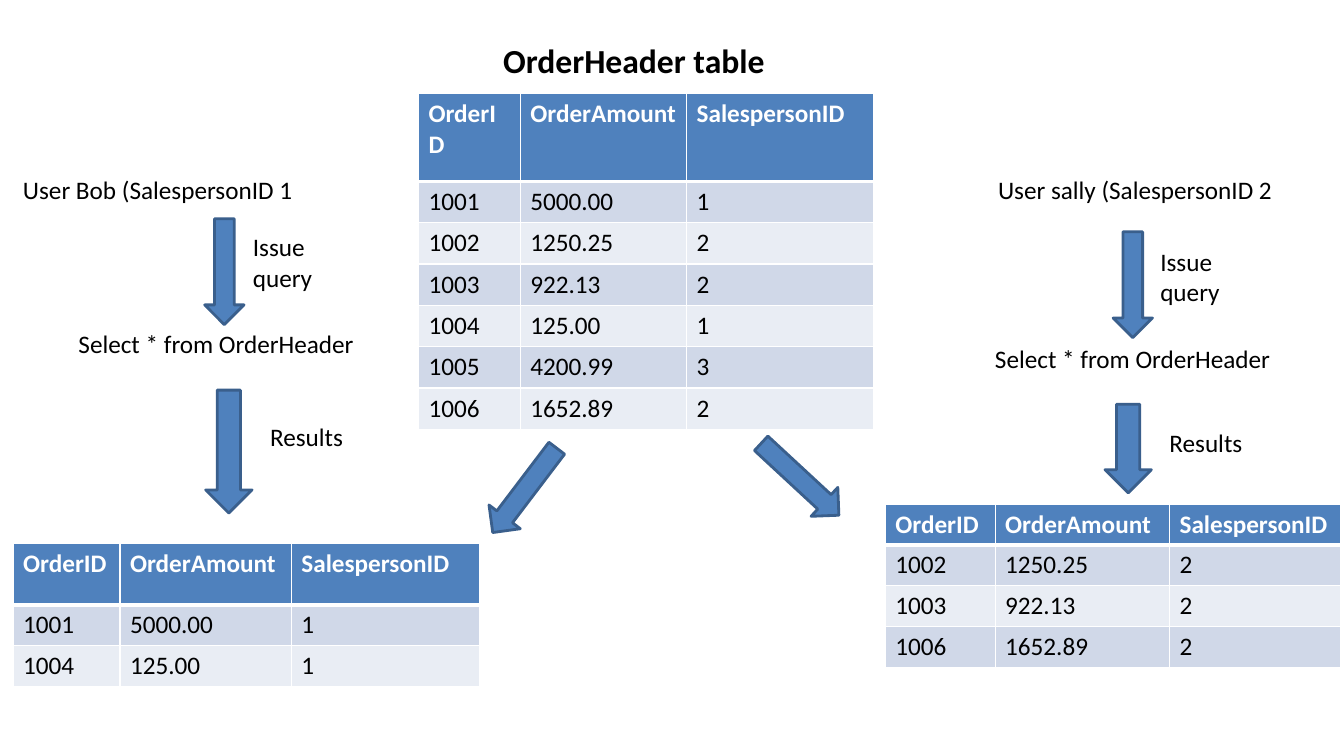
from dataclasses import dataclass

import pptx
import pptx.dml.color
import pptx.enum.shapes
import pptx.enum.text
import pptx.oxml
import pptx.oxml.ns
import pptx.shapes.autoshape
import pptx.shapes.shapetree
import pptx.slide
import pptx.table
import pptx.text.text
import pptx.util
from pptx.util import Inches

BLACK = pptx.dml.color.RGBColor(0x00, 0x00, 0x00)
WHITE = pptx.dml.color.RGBColor(0xFF, 0xFF, 0xFF)
BLUE = pptx.dml.color.RGBColor(0x4F, 0x81, 0xBD)
DARK_BLUE = pptx.dml.color.RGBColor(0x3A, 0x5F, 0x8C)
BANDS = (
    pptx.dml.color.RGBColor(0xD0, 0xD8, 0xE8),
    pptx.dml.color.RGBColor(0xE9, 0xED, 0xF4),
)
FONT_NAME = "Calibri"
BODY_SIZE = 18
HEADINGS = ("OrderID", "OrderAmount", "SalespersonID")


@dataclass(frozen=True)
class Order:
    order_id: str
    amount: str
    salesperson: str


@dataclass(frozen=True)
class OrderTable:
    left: float
    top: float
    column_widths: tuple[float, ...]
    header_height: float
    row_height: float
    orders: list[Order]


@dataclass(frozen=True)
class Label:
    text: str
    left: float
    top: float
    width: float
    height: float = 0.4


@dataclass(frozen=True)
class Arrow:
    left: float
    top: float
    width: float = 0.39
    height: float = 1.05
    rotation: float = 0


@dataclass(frozen=True)
class Step:
    arrow: Arrow
    label: Label


ORDERS = [
    Order("1001", "5000.00", "1"),
    Order("1002", "1250.25", "2"),
    Order("1003", "922.13", "2"),
    Order("1004", "125.00", "1"),
    Order("1005", "4200.99", "3"),
    Order("1006", "1652.89", "2"),
]


def orders_of(salesperson: str) -> list[Order]:
    return [order for order in ORDERS if order.salesperson == salesperson]


TABLES = [
    OrderTable(4.15, 0.93, (1.01, 1.65, 1.85), 0.87, 0.41, ORDERS),
    OrderTable(0.13, 5.39, (1.06, 1.7, 1.87), 0.61, 0.4, orders_of("1")),
    OrderTable(8.78, 5, (1.09, 1.73, 1.7), 0.4, 0.4, orders_of("2")),
]
LABELS = [
    Label("User Bob (SalespersonID 1", 0.13, 1.68, 3.66),
    Label("Select * from OrderHeader", 0.68, 3.21, 3.32),
    Label("User sally (SalespersonID 2", 9.8, 1.68, 3.29),
    Label("Select * from OrderHeader", 9.77, 3.36, 3.32),
]
STEPS = [
    Step(Arrow(2.04, 3.87, 0.46, 1.22), Label("Results", 2.58, 4.13, 1.02)),
    Step(Arrow(10.96, 4.01, 0.46, 0.88), Label("Results", 11.5, 4.19, 1.02)),
    Step(Arrow(2.03, 2.17), Label("Issue\nquery", 2.41, 2.25, 1.03, 0.71)),
    Step(Arrow(11.04, 2.3), Label("Issue\nquery", 11.41, 2.39, 1.03, 0.71)),
]
SPLIT_ARROWS = [
    Arrow(7.74, 4.23, rotation=312.8),
    Arrow(5.01, 4.34, rotation=37.2),
]


def format_text(
    frame: pptx.text.text.TextFrame,
    size: float = BODY_SIZE,
    color: pptx.dml.color.RGBColor = BLACK,
    bold: bool = False,
) -> None:
    for paragraph in frame.paragraphs:
        paragraph.alignment = pptx.enum.text.PP_ALIGN.LEFT
        for run in paragraph.runs:
            run.font.name = FONT_NAME
            run.font.size = pptx.util.Pt(size)
            run.font.bold = bold
            run.font.color.rgb = color


def add_title(slide: pptx.slide.Slide) -> None:
    title = slide.shapes.title
    title.left, title.top = Inches(4.89), Inches(0.35)
    title.width, title.height = Inches(4.01), Inches(0.5)
    frame = title.text_frame
    frame.text = "OrderHeader table"
    frame.vertical_anchor = pptx.enum.text.MSO_ANCHOR.TOP
    frame.auto_size = pptx.enum.text.MSO_AUTO_SIZE.NONE
    format_text(frame, size=24, bold=True)


def set_borders(cell: pptx.table._Cell, bottom_width: float) -> None:
    """Draw white cell borders, one point wide except at the bottom."""
    properties = cell._tc.get_or_add_tcPr()
    widths = {"lnL": 1, "lnR": 1, "lnT": 1, "lnB": bottom_width}
    for position, (side, width) in enumerate(widths.items()):
        border = pptx.oxml.parse_xml(
            f'<a:{side} {pptx.oxml.ns.nsdecls("a")} w="{pptx.util.Pt(width)}">'
            f'<a:solidFill><a:srgbClr val="{WHITE}"/></a:solidFill></a:{side}>'
        )
        properties.insert(position, border)


def add_order_table(slide: pptx.slide.Slide, data: OrderTable) -> None:
    rows = [HEADINGS]
    rows += [(order.order_id, order.amount, order.salesperson) for order in data.orders]
    heights = [data.header_height] + [data.row_height] * len(data.orders)
    table = slide.shapes.add_table(
        len(rows), len(HEADINGS), Inches(data.left), Inches(data.top),
        Inches(sum(data.column_widths)), Inches(sum(heights)),
    ).table
    for column, width in zip(table.columns, data.column_widths):
        column.width = Inches(width)
    for row_index, values in enumerate(rows):
        is_header = row_index == 0
        table.rows[row_index].height = Inches(heights[row_index])
        for column_index, value in enumerate(values):
            cell = table.cell(row_index, column_index)
            cell.text_frame.text = value
            format_text(cell.text_frame, color=WHITE if is_header else BLACK, bold=is_header)
            cell.fill.solid()
            cell.fill.fore_color.rgb = BLUE if is_header else BANDS[(row_index - 1) % 2]
            set_borders(cell, bottom_width=3 if is_header else 1)


def add_label(shapes: pptx.shapes.shapetree._BaseGroupShapes, label: Label) -> None:
    box = shapes.add_textbox(
        Inches(label.left), Inches(label.top), Inches(label.width), Inches(label.height)
    )
    box.text_frame.word_wrap = True
    box.text_frame.text = label.text
    format_text(box.text_frame)


def add_arrow(shapes: pptx.shapes.shapetree._BaseGroupShapes, arrow: Arrow) -> None:
    shape = shapes.add_shape(
        pptx.enum.shapes.MSO_SHAPE.DOWN_ARROW,
        Inches(arrow.left), Inches(arrow.top), Inches(arrow.width), Inches(arrow.height),
    )
    shape.rotation = arrow.rotation
    shape.shadow.inherit = False
    shape.fill.solid()
    shape.fill.fore_color.rgb = BLUE
    shape.line.color.rgb = DARK_BLUE
    shape.line.width = pptx.util.Pt(2)


def main() -> None:
    presentation = pptx.Presentation()
    presentation.slide_width, presentation.slide_height = Inches(13.33), Inches(7.5)
    slide = presentation.slides.add_slide(presentation.slide_layouts.get_by_name("Title Only"))
    add_title(slide)
    for data in TABLES:
        add_order_table(slide, data)
    for label in LABELS:
        add_label(slide.shapes, label)
    for step in STEPS:
        group = slide.shapes.add_group_shape()
        add_arrow(group.shapes, step.arrow)
        add_label(group.shapes, step.label)
    for arrow in SPLIT_ARROWS:
        add_arrow(slide.shapes, arrow)
    presentation.save("out.pptx")


if __name__ == "__main__":
    main()
